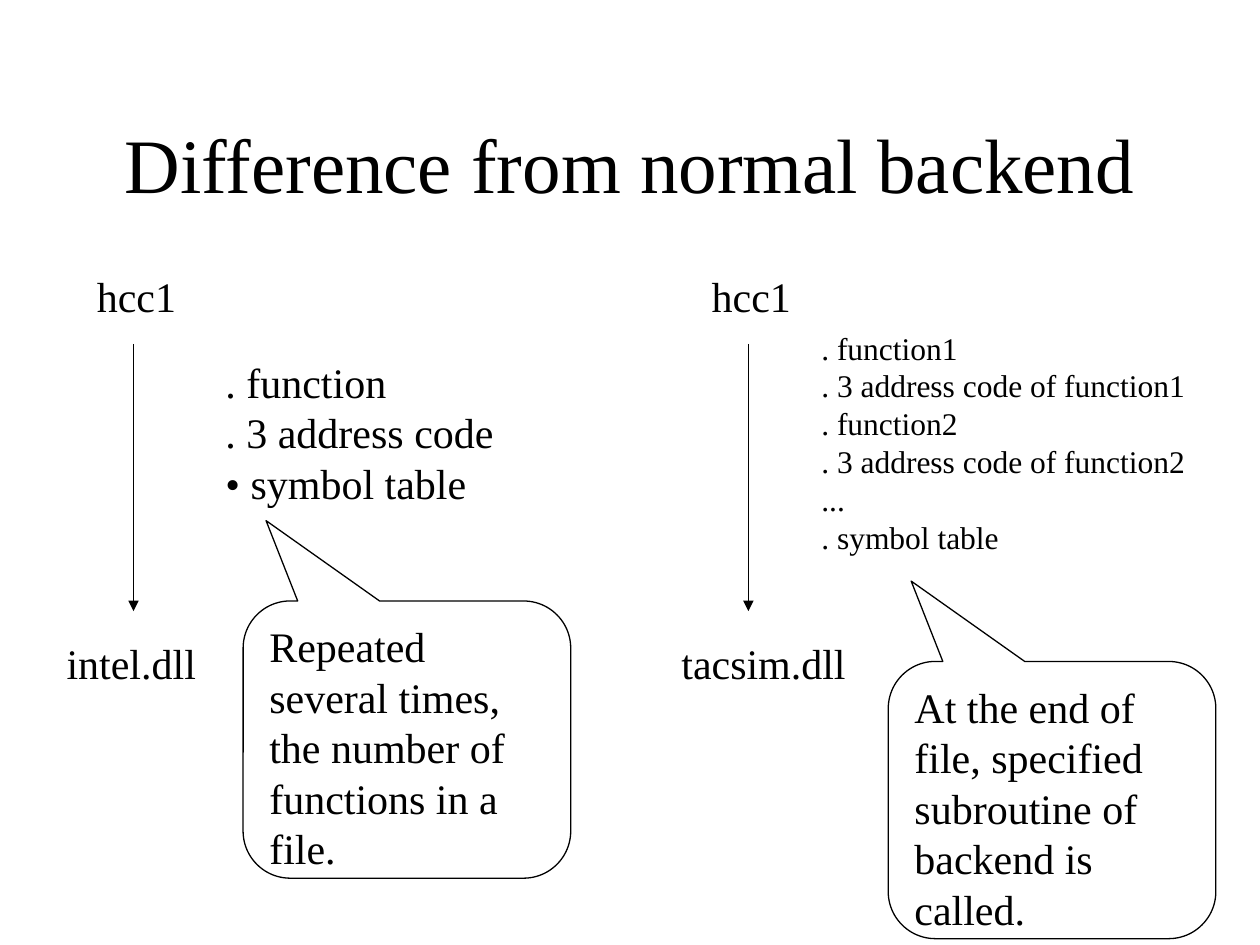
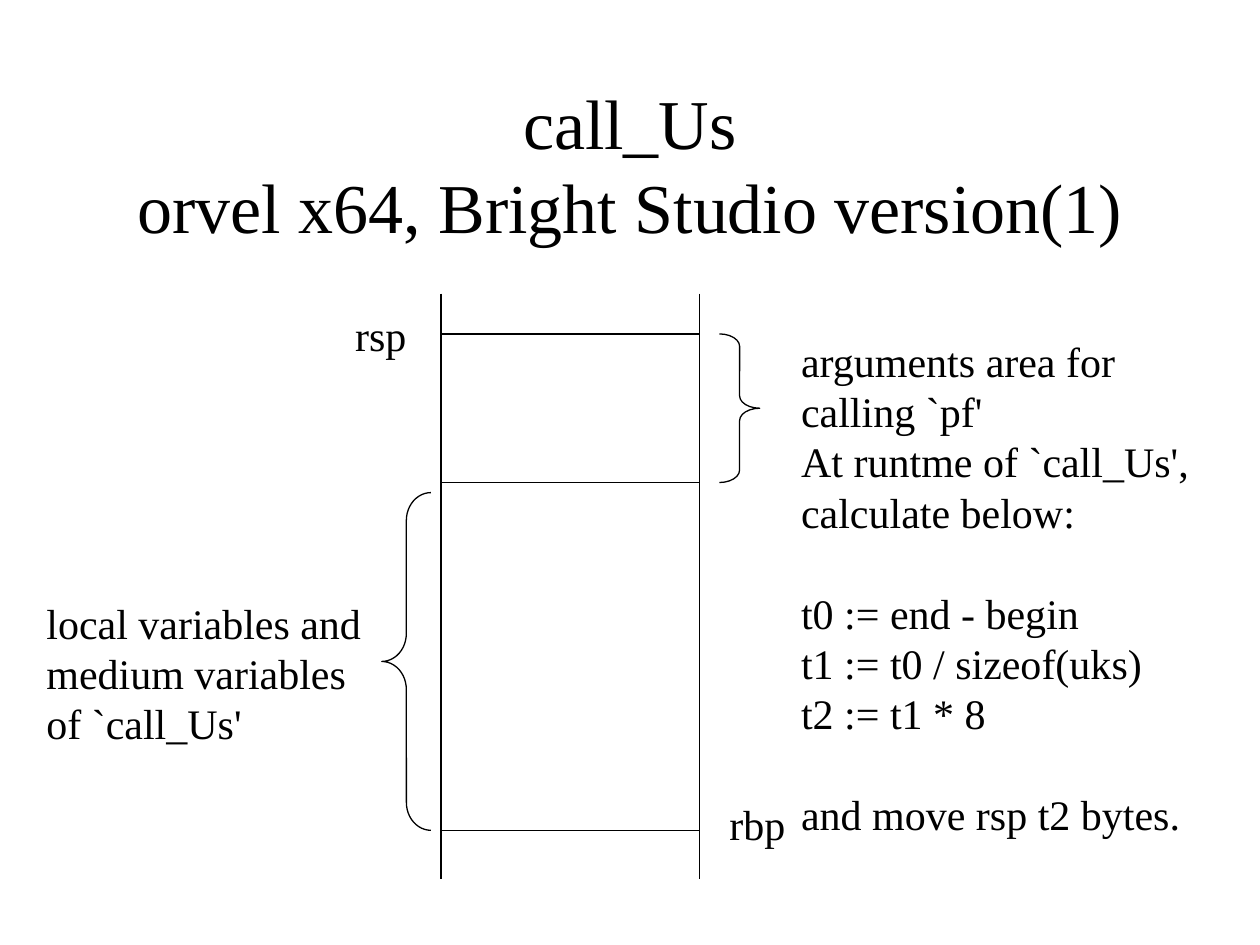
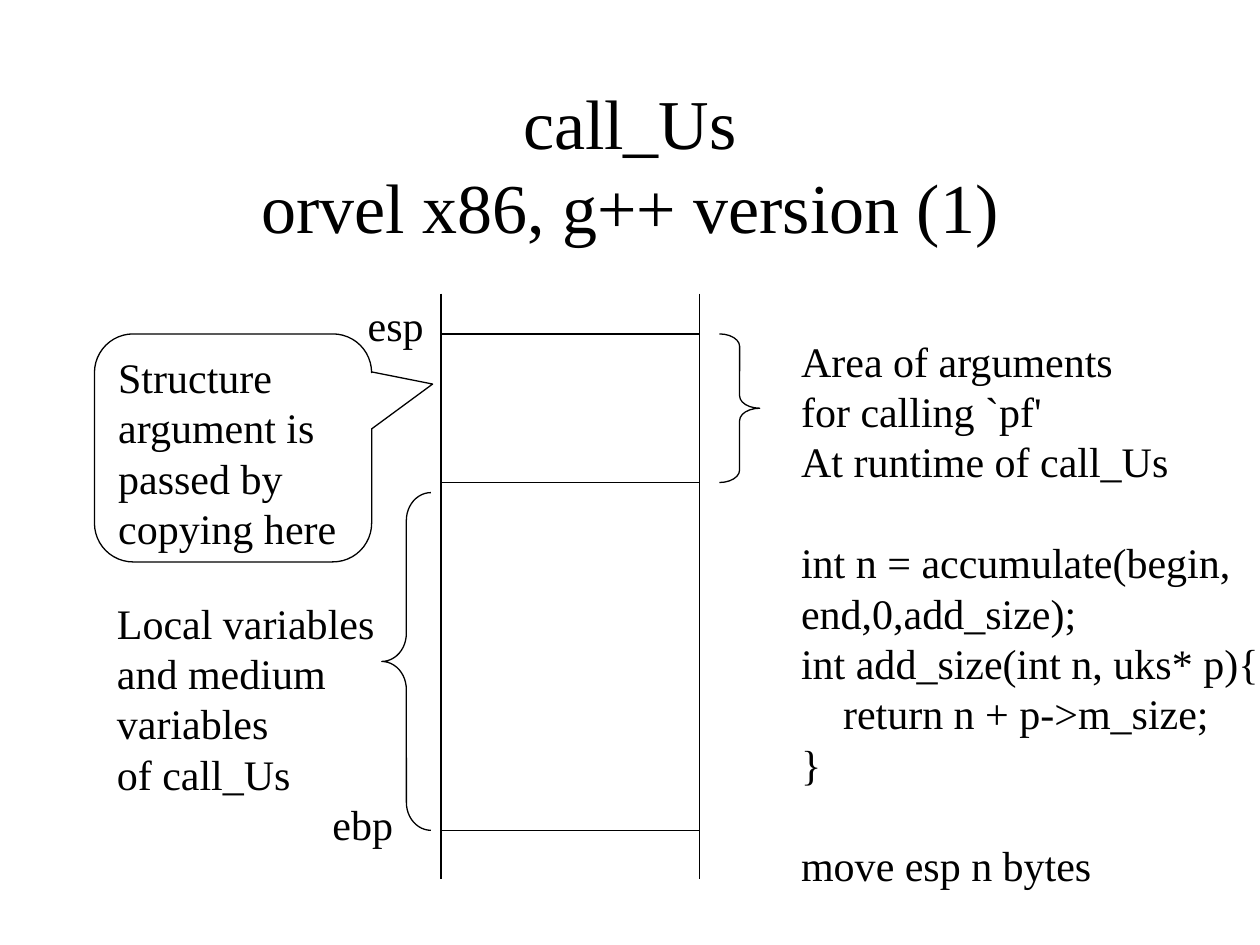
import pptx
import pptx.dml.color
import pptx.enum.shapes
import pptx.enum.text
import pptx.oxml.ns
import pptx.util
from lxml import etree

Inches = pptx.util.Inches
Pt = pptx.util.Pt
SHAPE = pptx.enum.shapes.MSO_SHAPE
ANCHOR = pptx.enum.text.MSO_ANCHOR
ALIGN = pptx.enum.text.PP_ALIGN
AUTO_SIZE = pptx.enum.text.MSO_AUTO_SIZE
qn = pptx.oxml.ns.qn

FONT = "Times New Roman"
INK = "000000"
LINE_WIDTH = 0.75
BODY_SIZE = 24
LINE_HEIGHT = 1.2  # height of a text line, in font sizes

# Stack diagram
STACK_LEFT, STACK_RIGHT = 3.5, 5.55
STACK_TOP, STACK_BOTTOM = 2.33, 6.98
ARGS_TOP, ARGS_BOTTOM, LOCALS_BOTTOM = 2.65, 3.83, 6.59


def color(hex_string):
    return pptx.dml.color.RGBColor.from_string(hex_string)


def style_paragraph(p, size, align=ALIGN.LEFT):
    p.alignment = align
    p.font.name = FONT
    p.font.size = Pt(size)
    p.font.color.rgb = color(INK)


def style_line(line):
    line.color.rgb = color(INK)
    line.width = Pt(LINE_WIDTH)


def add_titled_slide(prs, title, size):
    slide = prs.slides.add_slide(prs.slide_layouts[5])
    sp = slide.shapes.title
    sp.left, sp.top = Inches(0.75), Inches(0.67)
    sp.width, sp.height = Inches(8.5), Inches(1.25)
    tf = sp.text_frame
    tf.text = title
    tf.auto_size = AUTO_SIZE.NONE
    tf.vertical_anchor = ANCHOR.MIDDLE
    for p in tf.paragraphs:
        style_paragraph(p, size, ALIGN.CENTER)
    return slide


def add_text(slide, left, top, width, *blocks, size=BODY_SIZE):
    """Write blocks of lines, with the gap of one line between blocks."""
    count = sum(len(block) for block in blocks) + len(blocks) - 1
    height = count * size * LINE_HEIGHT / 72 + 0.1
    sp = slide.shapes.add_textbox(Inches(left), Inches(top), Inches(width), Inches(height))
    tf = sp.text_frame
    tf.word_wrap = True
    tf.auto_size = AUTO_SIZE.NONE
    tf.text = "\n".join(line for block in blocks for line in block)
    starts = {sum(len(block) for block in blocks[:i]) for i in range(1, len(blocks))}
    for i, p in enumerate(tf.paragraphs):
        style_paragraph(p, size)
        if i in starts:
            p.space_before = Pt(size * LINE_HEIGHT)


def add_line(slide, x1, y1, x2, y2, arrow=False):
    cxn = slide.shapes.add_connector(
        pptx.enum.shapes.MSO_CONNECTOR.STRAIGHT, Inches(x1), Inches(y1), Inches(x2), Inches(y2))
    style_line(cxn.line)
    if arrow:
        etree.SubElement(cxn.line._get_or_add_ln(), qn("a:tailEnd"), type="triangle")
    etree.SubElement(cxn._element.spPr, qn("a:effectLst"))


def add_outline(slide, kind, left, top, width, height, adjustments):
    sp = slide.shapes.add_shape(kind, Inches(left), Inches(top), Inches(width), Inches(height))
    for i, value in enumerate(adjustments):
        sp.adjustments[i] = value
    sp.shadow.inherit = False
    sp.fill.background()
    style_line(sp.line)
    return sp


def add_callout(slide, left, top, width, height, tip, text):
    sp = add_outline(slide, SHAPE.ROUNDED_RECTANGULAR_CALLOUT, left, top, width, height, (*tip, 0.17))
    tf = sp.text_frame
    tf.word_wrap = True
    tf.vertical_anchor = ANCHOR.TOP
    tf.text = text
    style_paragraph(tf.paragraphs[0], BODY_SIZE)


def add_flow(slide, left, target):
    """Arrow from the compiler down to the backend library."""
    add_text(slide, left + 0.24, 2.1, 1, ["hcc1"])
    add_text(slide, left, 5.01, 1.6, [target])
    add_line(slide, left + 0.63, 2.73, left + 0.63, 4.85, arrow=True)


def add_stack(slide):
    for x in (STACK_LEFT, STACK_RIGHT):
        add_line(slide, x, STACK_TOP, x, STACK_BOTTOM)
    for y in (LOCALS_BOTTOM, ARGS_BOTTOM, ARGS_TOP):
        add_line(slide, STACK_LEFT, y, STACK_RIGHT, y)
    add_outline(slide, SHAPE.LEFT_BRACE, 3.03, 3.91, 0.39, LOCALS_BOTTOM - 3.91, (0.57, 0.5))
    add_outline(slide, SHAPE.RIGHT_BRACE, 5.71, ARGS_TOP, 0.32, ARGS_BOTTOM - ARGS_TOP, (0.31, 0.5))


def add_register(slide, left, top, name):
    add_text(slide, left, top, 0.75, [name])


def build_difference(prs):
    slide = add_titled_slide(prs, "Difference from normal backend", 44)
    tip = (-0.43, -0.79)
    # Normal backend
    add_flow(slide, 0.43, "intel.dll")
    add_text(slide, 1.69, 2.78, 2.45, [". function", ". 3 address code", "• symbol table"])
    add_callout(slide, 1.93, 4.77, 2.6, 2.2, tip,
                "Repeated several times, the number of functions in a file.")
    # Simulator backend
    add_flow(slide, 5.31, "tacsim.dll")
    add_text(slide, 6.42, 2.56, 3.2,
             [". function1", ". 3 address code of function1",
              ". function2", ". 3 address code of function2",
              "...", ". symbol table"], size=18)
    add_callout(slide, 7.05, 5.25, 2.6, 2.2, tip,
                "At the end of file, specified subroutine of backend is called.")


def build_x64(prs):
    slide = add_titled_slide(prs, "call_Us\vorvel x64, Bright Studio version(1)", 40)
    add_stack(slide)
    add_text(slide, 0.27, 4.69, 2.8, ["local variables and", "medium variables", "of `call_Us'"])
    add_register(slide, 5.69, 6.29, "rbp")
    add_register(slide, 2.72, 2.41, "rsp")
    add_text(slide, 6.26, 2.61, 3.4,
             ["arguments area for", "calling `pf'", "At runtme of `call_Us',", "calculate below:"],
             ["t0 := end - begin", "t1 := t0 / sizeof(uks)", "t2 := t1 * 8"],
             ["and move rsp t2 bytes."])


def build_x86(prs):
    slide = add_titled_slide(prs, "call_Us\vorvel x86, g++ version (1)", 40)
    add_stack(slide)
    add_text(slide, 0.83, 4.69, 2.4, ["Local variables", "and medium", "variables", "of call_Us"])
    add_register(slide, 2.54, 6.29, "ebp")
    add_register(slide, 2.82, 2.33, "esp")
    add_text(slide, 6.26, 2.61, 3.9,
             ["Area of arguments", "for calling `pf'", "At runtime of call_Us"],
             ["int n = accumulate(begin,", "end,0,add_size);", "int add_size(int n, uks* p){",
              "    return n + p->m_size;", "}"],
             ["move esp n bytes"])
    add_callout(slide, 0.75, ARGS_TOP, 2.2, 1.81, (0.72, -0.28),
                "Structure argument is passed by copying here")


def main():
    prs = pptx.Presentation()
    prs.slide_width, prs.slide_height = Inches(10), Inches(7.5)
    build_difference(prs)
    build_x64(prs)
    build_x86(prs)
    prs.save("out.pptx")


if __name__ == "__main__":
    main()
